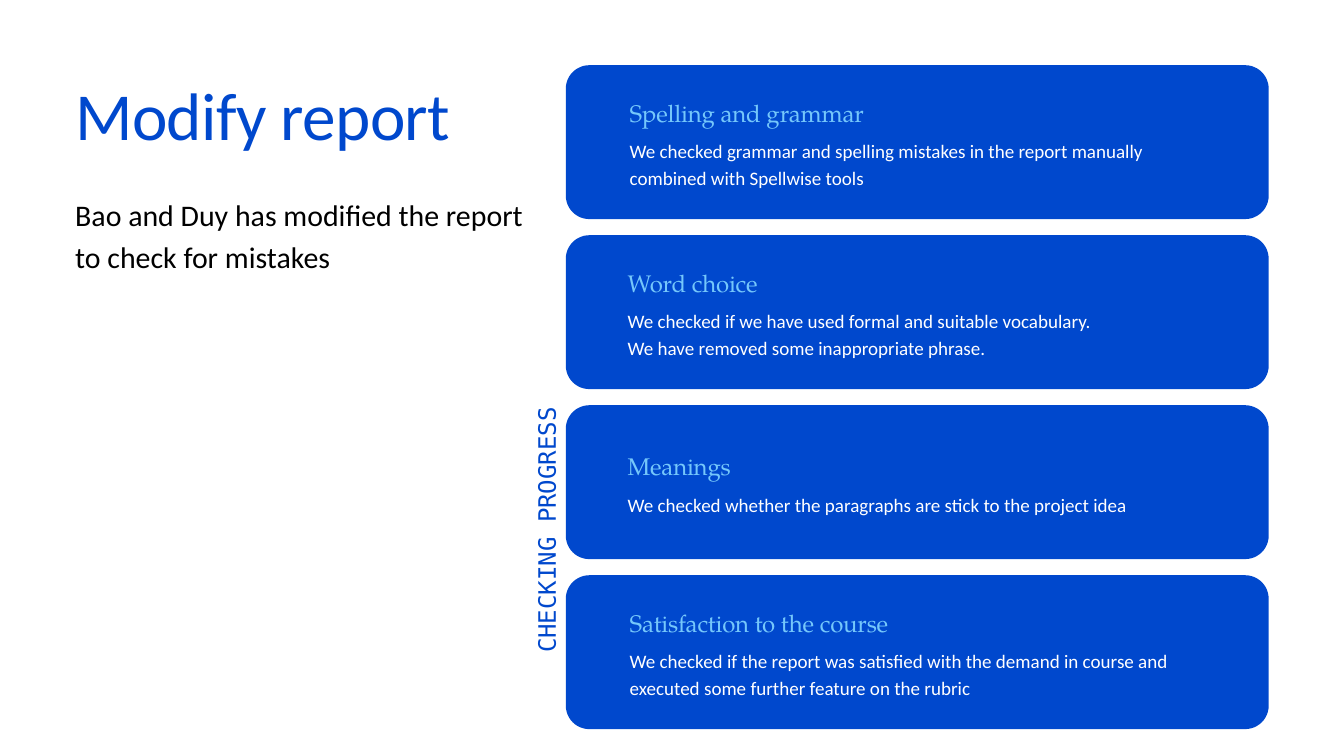
from pptx import Presentation
from pptx.dml.color import RGBColor
from pptx.enum.shapes import MSO_SHAPE
from pptx.enum.text import MSO_ANCHOR, MSO_AUTO_SIZE, PP_ALIGN
from pptx.util import Inches, Pt

COLORS = {"blue": "0048CD", "sky": "75C7FB", "white": "FFFFFF", "black": "000000"}

TITLE = "Modify report"
SUMMARY = "Bao and Duy has modified the report to check for mistakes"
SIDE_LABEL = "CHECKING PROGRESS"
CARDS = [
    {"heading": "Spelling and grammar", "left": 9.37, "height": 0.77,
     "body": ["We checked grammar and spelling mistakes in the report manually "
              "combined with Spellwise tools"]},
    {"heading": "Word choice", "left": 9.34, "height": 0.77,
     "body": ["We checked if we have used formal and suitable vocabulary.",
              "We have removed some inappropriate phrase."]},
    {"heading": "Meanings", "left": 9.34, "height": 0.37,
     "body": ["We checked whether the paragraphs are stick to the project idea"]},
    {"heading": "Satisfaction to the course", "left": 9.37, "height": 0.77,
     "body": ["We checked if the report was satisfied with the demand in course and "
              "executed some further feature on the rubric"]},
]

CARD_LEFT, CARD_TOP, CARD_WIDTH, CARD_HEIGHT = 8.42, 0.97, 10.46, 2.29
CARD_PITCH = 2.53
CARD_RADIUS = 0.35
TEXT_WIDTH = 8.61
HEADING_HEIGHT = 0.45
BODY_OFFSET = 0.59


def place(shape, left, top, width, height):
    shape.left, shape.top = Inches(left), Inches(top)
    shape.width, shape.height = Inches(width), Inches(height)


def write(box, lines, *, size, leading, color, font="Calibri", spacing=0):
    frame = box.text_frame
    frame.word_wrap = True
    frame.auto_size = MSO_AUTO_SIZE.NONE
    frame.vertical_anchor = MSO_ANCHOR.TOP
    frame.margin_left = frame.margin_right = 0
    frame.margin_top = frame.margin_bottom = 0
    for index, line in enumerate(lines):
        para = frame.add_paragraph() if index else frame.paragraphs[0]
        para.alignment = PP_ALIGN.LEFT
        para.line_spacing = Pt(leading)
        para.space_before = Pt(0)
        span = para.add_run()
        span.text = line
        span.font.name = font
        span.font.size = Pt(size)
        span.font.color.rgb = RGBColor.from_string(COLORS[color])
        if spacing:
            span.font._element.set("spc", str(round(spacing * 100)))


def add_text(page, lines, left, top, width, height, **style):
    box = page.shapes.add_textbox(0, 0, 0, 0)
    place(box, left, top, width, height)
    write(box, lines, **style)
    return box


def add_card(page, top, card):
    panel = page.shapes.add_shape(MSO_SHAPE.ROUNDED_RECTANGLE, 0, 0, 0, 0)
    place(panel, CARD_LEFT, top, CARD_WIDTH, CARD_HEIGHT)
    panel.adjustments[0] = CARD_RADIUS / CARD_HEIGHT
    panel.shadow.inherit = False
    panel.fill.solid()
    panel.fill.fore_color.rgb = RGBColor.from_string(COLORS["blue"])
    panel.line.fill.background()

    text_top = top + (CARD_HEIGHT - BODY_OFFSET - card["height"]) / 2 - 0.01
    add_text(page, [card["heading"]], card["left"], text_top, TEXT_WIDTH, HEADING_HEIGHT,
             size=25.7, leading=33.4, color="sky", font="TeX Gyre Pagella", spacing=-0.2)
    add_text(page, card["body"], card["left"], text_top + BODY_OFFSET, TEXT_WIDTH,
             card["height"], size=20.4, leading=28.9, color="white")


def main():
    deck = Presentation()
    deck.slide_width, deck.slide_height = Inches(20), Inches(11.25)
    page = deck.slides.add_slide(deck.slide_layouts[5])

    title = page.shapes.title
    place(title, 1.12, 1.19, 6.94, 1.14)
    write(title, [TITLE], size=72, leading=79.2, color="blue", spacing=-0.7)
    add_text(page, [SUMMARY], 1.12, 2.84, 6.94, 1.18, size=32, leading=44.8, color="black")

    for index, card in enumerate(CARDS):
        add_card(page, CARD_TOP + index * CARD_PITCH, card)

    label = add_text(page, [SIDE_LABEL], 4.28, 5.67, 7.61, 0.48, size=25.7, leading=36,
                     color="blue", font="DejaVu Sans Mono")
    label.rotation = 270

    deck.save("out.pptx")


if __name__ == "__main__":
    main()
